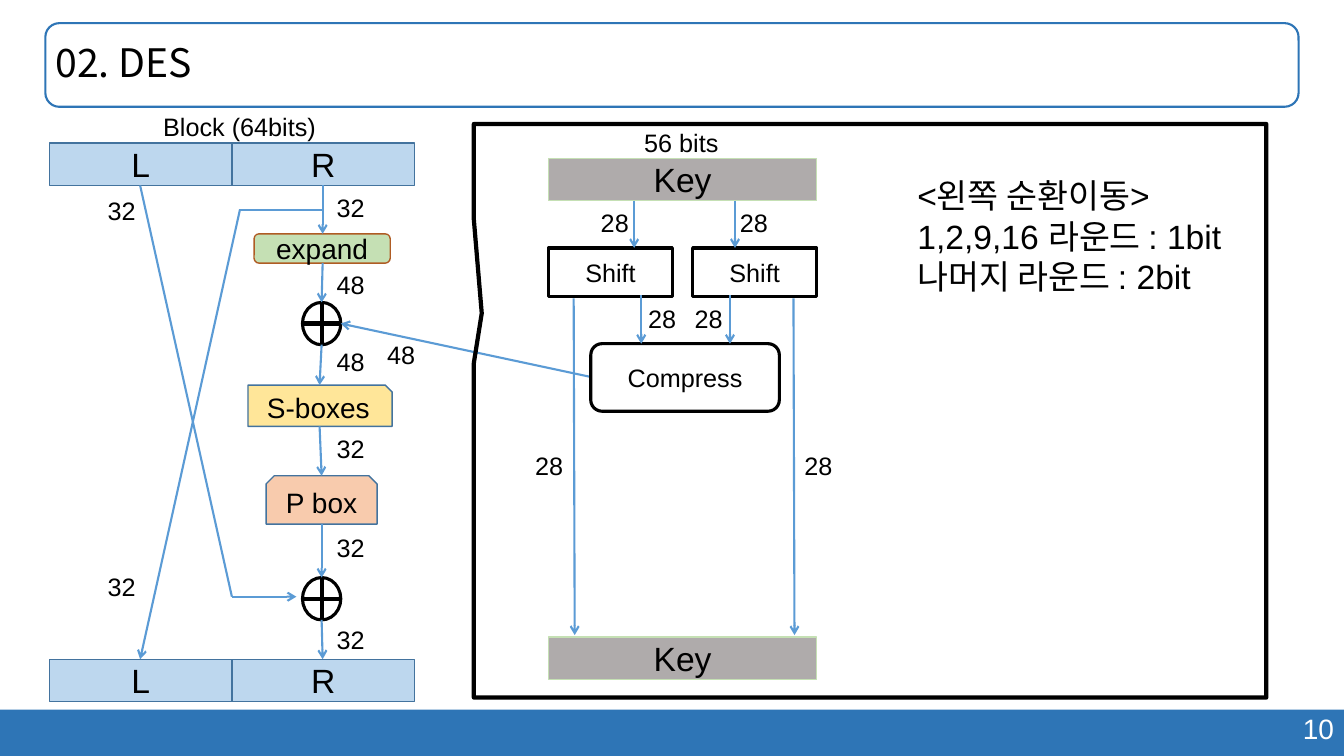
from lxml import etree
from pptx import Presentation
from pptx.dml.color import RGBColor
from pptx.enum.shapes import MSO_CONNECTOR, MSO_SHAPE
from pptx.enum.text import MSO_ANCHOR, PP_ALIGN
from pptx.oxml.ns import qn
from pptx.util import Pt

PX = 9144
LEFT, CENTER, RIGHT = PP_ALIGN.LEFT, PP_ALIGN.CENTER, PP_ALIGN.RIGHT
MIDDLE = MSO_ANCHOR.MIDDLE
STRAIGHT = MSO_CONNECTOR.STRAIGHT
RECT, ROUND, OVAL = MSO_SHAPE.RECTANGLE, MSO_SHAPE.ROUNDED_RECTANGLE, MSO_SHAPE.OVAL
SNIP_ONE, SNIP_TWO = MSO_SHAPE.SNIP_1_RECTANGLE, MSO_SHAPE.SNIP_2_SAME_RECTANGLE
PROCESS = MSO_SHAPE.FLOWCHART_ALTERNATE_PROCESS
CALLOUT = MSO_SHAPE.RECTANGULAR_CALLOUT

COLORS = {
    name: RGBColor.from_string(value)
    for name, value in {
        "black": "000000", "white": "FFFFFF", "band": "2E75B6",
        "arrow": "5B9BD5", "block": "BDD7EE", "edge": "43739E",
        "expand": "C5E0B4", "expand_edge": "AF5C24",
        "sbox": "FFE699", "pbox": "F8CBAD", "key": "AFABAB",
    }.items()
}

prs = Presentation()
prs.slide_width, prs.slide_height = 1333 * PX, 750 * PX
slide = prs.slides.add_slide(prs.slide_layouts[5])
shapes = slide.shapes


def add_item(box, text="", kind=None, fill=None, line=None, weight=1, size=18,
             color="black", align=None):
    place = [v * PX for v in box]
    if kind is None:
        item = shapes.add_textbox(*place)
    else:
        item = shapes.add_shape(kind, *place)
        item.shadow.inherit = False
        if fill:
            item.fill.solid()
            item.fill.fore_color.rgb = COLORS[fill]
        else:
            item.fill.background()
        if line:
            item.line.color.rgb = COLORS[line]
            item.line.width = Pt(weight)
        else:
            item.line.fill.background()
        item.text_frame.vertical_anchor = MIDDLE
    frame = item.text_frame
    frame.word_wrap = kind is not None or align == RIGHT
    if text:
        frame.text = text
        for paragraph in frame.paragraphs:
            paragraph.alignment = align or (CENTER if kind else LEFT)
            paragraph.font.size = Pt(size)
            paragraph.font.name = "Arial"
            paragraph.font.color.rgb = COLORS[color]
    return item


def add_line(x1, y1, x2, y2, arrow=True, color="arrow", weight=1.5):
    link = shapes.add_connector(STRAIGHT, x1 * PX, y1 * PX, x2 * PX, y2 * PX)
    link.line.color.rgb = COLORS[color]
    link.line.width = Pt(weight)
    if arrow:
        etree.SubElement(link.line._get_or_add_ln(), qn("a:tailEnd"), type="arrow")
    etree.SubElement(link._element.spPr, qn("a:effectLst"))


add_item((0, 704, 1333, 46), kind=RECT, fill="band")
add_item((943, 701, 390, 44), "10", size=20, color="white", align=RIGHT)
title_box = (45, 23, 1243, 83)
add_item(title_box, kind=ROUND, line="band", weight=1.5)

title = shapes.title
title.left, title.top, title.width, title.height = [v * PX for v in title_box]
title.text_frame.text = "02. DES"
title.text_frame.vertical_anchor = MIDDLE
heading = title.text_frame.paragraphs[0]
heading.alignment = LEFT
heading.line_spacing = 0.9
heading.font.size = Pt(28)
heading.font.name = "Noto Sans CJK KR"
heading.font.color.rgb = COLORS["black"]

for top in (142, 654):
    for left, half in ((49, "L"), (230, "R")):
        add_item((left, top, 181, 42), half, RECT, "block", "edge", size=24)

add_line(139, 184, 230, 592, arrow=False)
add_line(230, 592, 294, 592)
add_line(319, 208, 237, 208, arrow=False)
add_line(238, 208, 139, 654)

for box, name, kind, fill, edge in (
    ((252, 232, 135, 29), "expand", ROUND, "expand", "expand_edge"),
    ((246, 382, 143, 41), "S-boxes", SNIP_ONE, "sbox", "edge"),
    ((264, 472, 110, 48), "P box", SNIP_TWO, "pbox", "edge"),
):
    add_item(box, name, kind, fill, edge, size=20)

for top in (300, 573):
    add_item((300, top, 38, 42), kind=OVAL, line="black", weight=2.25)
    add_line(319, top, 319, top + 42, arrow=False, color="black", weight=3)
    add_line(300, top + 21, 338, top + 21, arrow=False, color="black", weight=3)

for step in (
    (320, 184, 320, 232), (320, 261, 319, 300), (319, 342, 317, 382),
    (317, 423, 319, 472), (319, 520, 319, 573), (319, 615, 320, 654),
    (586, 374, 338, 321),
):
    add_line(*step)

for top in (157, 632):
    add_item((544, top, 266, 42), "Key", RECT, "key", "expand", size=24)
for left in (544, 687):
    add_item((left, 246, 123, 48), "Shift", RECT, line="black", weight=2.25)
add_item((586, 341, 187, 67), "Compress", PROCESS, line="black", weight=2.25)

for x, top, bottom in (
    (629, 199, 246), (729, 199, 246), (636, 293, 341), (724, 293, 341),
):
    add_line(x, top, x, bottom)
for x in (569, 787):
    add_line(x, 296, x + 1, 630)

for bits, corners in (
    ("32", ((324, 186), (324, 425), (324, 523), (324, 614), (97, 189), (97, 562))),
    ("48", ((324, 262), (324, 339), (374, 332))),
    ("28", ((586, 201), (724, 201), (679, 296), (633, 296), (521, 442), (788, 442))),
):
    for left, top in corners:
        add_item((left, top, 48, 40), bits)
add_item((152, 106, 172, 40), "Block (64bits)")
add_item((629, 121, 98, 40), "56 bits")

key_schedule = add_item((470, 123, 786, 569), kind=CALLOUT, line="black", weight=3)
key_schedule.adjustments[0] = -0.49
key_schedule.adjustments[1] = -0.17
add_item((900, 169, 359, 131),
         "<왼쪽 순환이동>\n1,2,9,16 라운드 : 1bit\n나머지 라운드 : 2bit", size=24)

prs.save("out.pptx")
